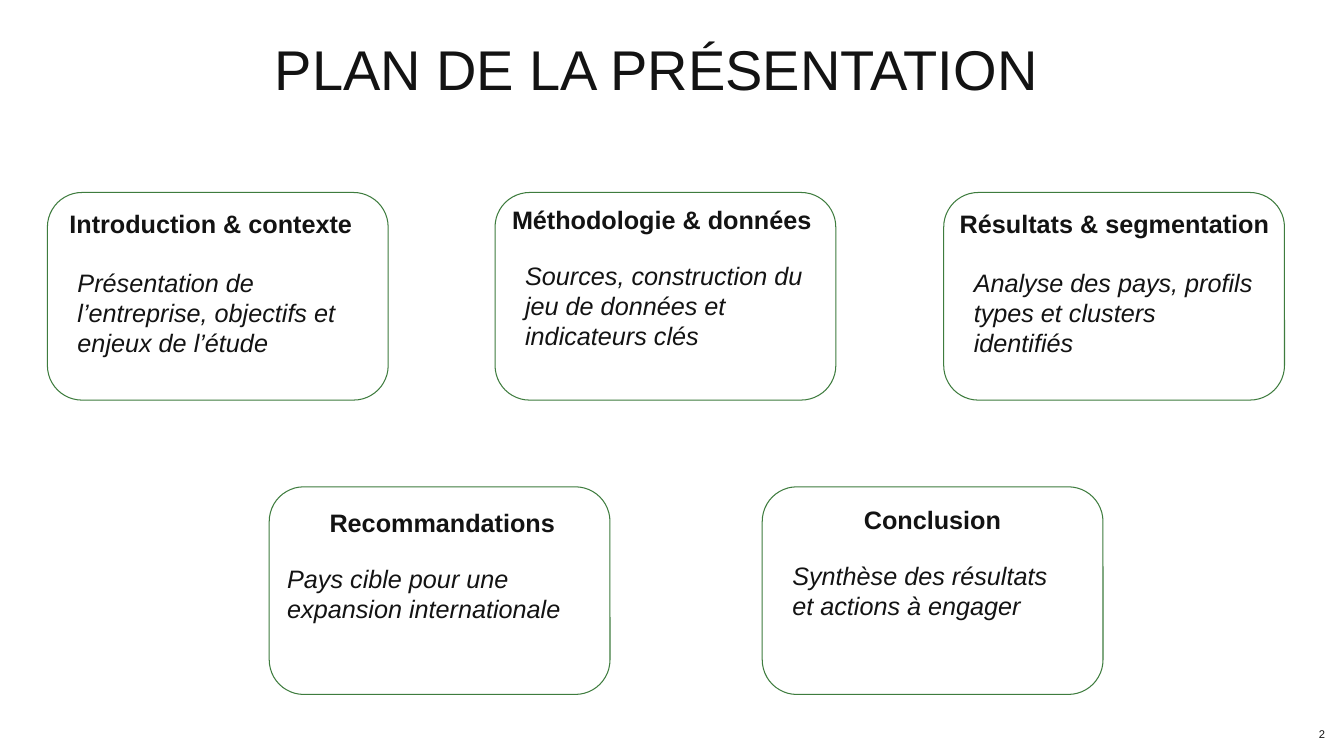
from pptx import Presentation
from pptx.dml.color import RGBColor
from pptx.enum.shapes import MSO_SHAPE
from pptx.enum.text import MSO_ANCHOR, PP_ALIGN
from pptx.util import Inches, Pt

INK = RGBColor(0x13, 0x13, 0x13)
GREEN = RGBColor(0x3E, 0x7C, 0x3E)
FONT = "Arial"
ROUNDED = MSO_SHAPE.ROUNDED_RECTANGLE
LEFT, CENTER, RIGHT = PP_ALIGN.LEFT, PP_ALIGN.CENTER, PP_ALIGN.RIGHT
TOP, MIDDLE = MSO_ANCHOR.TOP, MSO_ANCHOR.MIDDLE
TITLE_ONLY = 5
CARD_WIDTH, CARD_HEIGHT = 3.38, 2.06
TOP_ROW, BOTTOM_ROW = 1.91, 4.83

CARDS = [
    (0.47, TOP_ROW, "Introduction & contexte", (0.59, 2.02),
     "Présentation de l’entreprise, objectifs et enjeux de l’étude", (0.67, 2.6, 2.98, 1.01)),
    (4.91, TOP_ROW, "Méthodologie & données", (4.98, 1.98),
     "Sources, construction du jeu de données et indicateurs clés", (5.11, 2.53, 2.98, 1.01)),
    (9.36, TOP_ROW, "Résultats & segmentation", (9.42, 2.02),
     "Analyse des pays, profils types et clusters identifiés", (9.56, 2.6, 2.98, 1.01)),
    (2.67, BOTTOM_ROW, "Recommandations", (3.17, 4.98),
     "Pays cible pour une expansion internationale", (2.75, 5.54, 3.38, 0.71)),
    (7.56, BOTTOM_ROW, "Conclusion", (8.47, 4.95),
     "Synthèse des résultats et actions à engager", (7.76, 5.51, 2.98, 0.71)),
]


class PlanSlide:
    def __init__(self, deck):
        self.page = deck.slides.add_slide(deck.slide_layouts[TITLE_ONLY])

    def fill_text(self, box, text, size, bold=False, italic=False, align=LEFT, anchor=TOP):
        frame = box.text_frame
        frame.word_wrap = True
        frame.vertical_anchor = anchor
        frame.text = text
        para = frame.paragraphs[0]
        para.alignment = align
        font = para.runs[0].font
        font.name, font.size = FONT, Pt(size)
        font.bold, font.italic = bold, italic
        font.color.rgb = INK
        return para

    def title(self, text, left, top, width, height):
        box = self.page.shapes.title
        box.left, box.top = Inches(left), Inches(top)
        box.width, box.height = Inches(width), Inches(height)
        self.fill_text(box, text, 40, align=CENTER).line_spacing = 0.9

    def label(self, text, left, top, width, height, size=18, **style):
        box = self.page.shapes.add_textbox(
            Inches(left), Inches(top), Inches(width), Inches(height))
        self.fill_text(box, text, size, **style)

    def outline(self, left, top):
        shape = self.page.shapes.add_shape(
            ROUNDED, Inches(left), Inches(top), Inches(CARD_WIDTH), Inches(CARD_HEIGHT))
        shape.shadow.inherit = False
        shape.fill.background()
        shape.line.color.rgb = GREEN
        shape.line.width = Pt(0.75)

    def card(self, left, top, heading, heading_place, summary, summary_place):
        self.outline(left, top)
        self.label(heading, *heading_place, CARD_WIDTH, 0.4, bold=True)
        self.label(summary, *summary_place, italic=True)


def main():
    deck = Presentation()
    deck.slide_width, deck.slide_height = Inches(13.33), Inches(7.5)
    plan = PlanSlide(deck)
    plan.title("PLAN DE LA PRÉSENTATION", 0.47, 0.37, 12.08, 1.09)
    plan.label("2", 12.74, 7.1, 0.5, 0.37, size=8, align=RIGHT, anchor=MIDDLE)
    for card in CARDS:
        plan.card(*card)
    deck.save("out.pptx")


if __name__ == "__main__":
    main()
